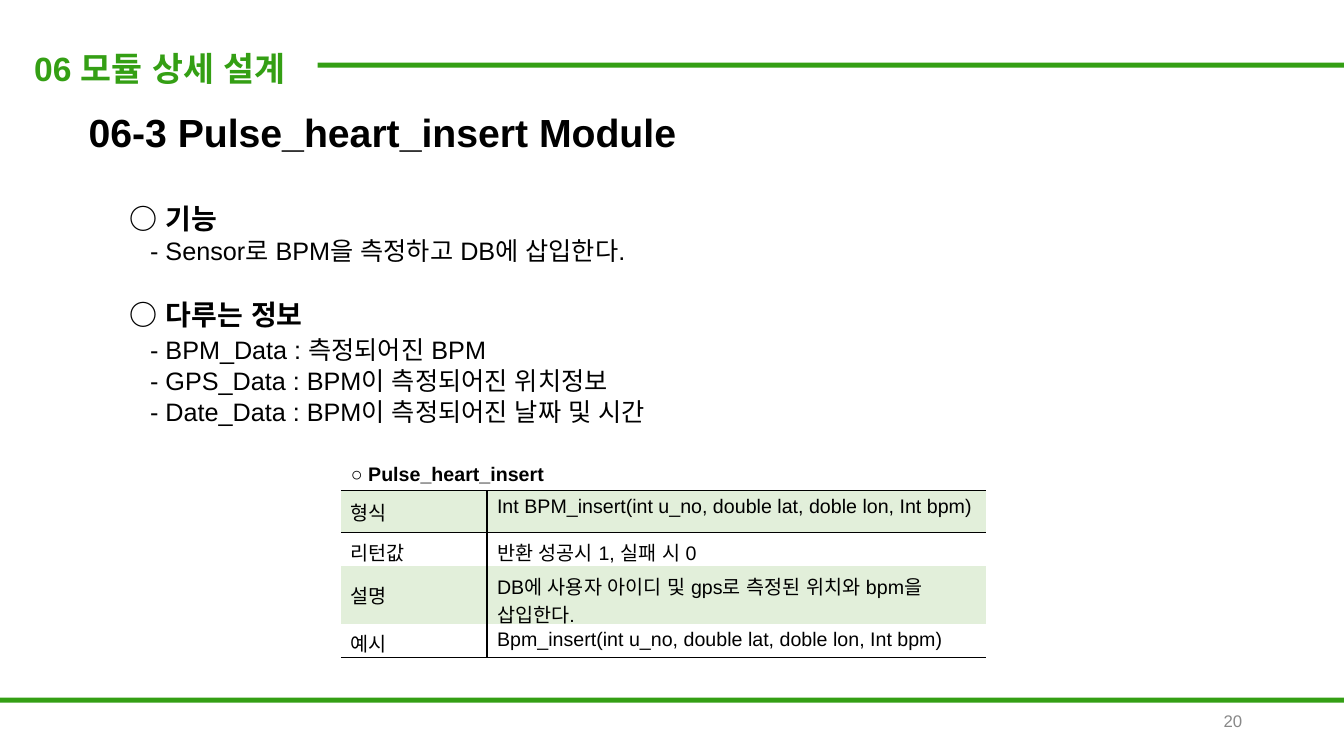
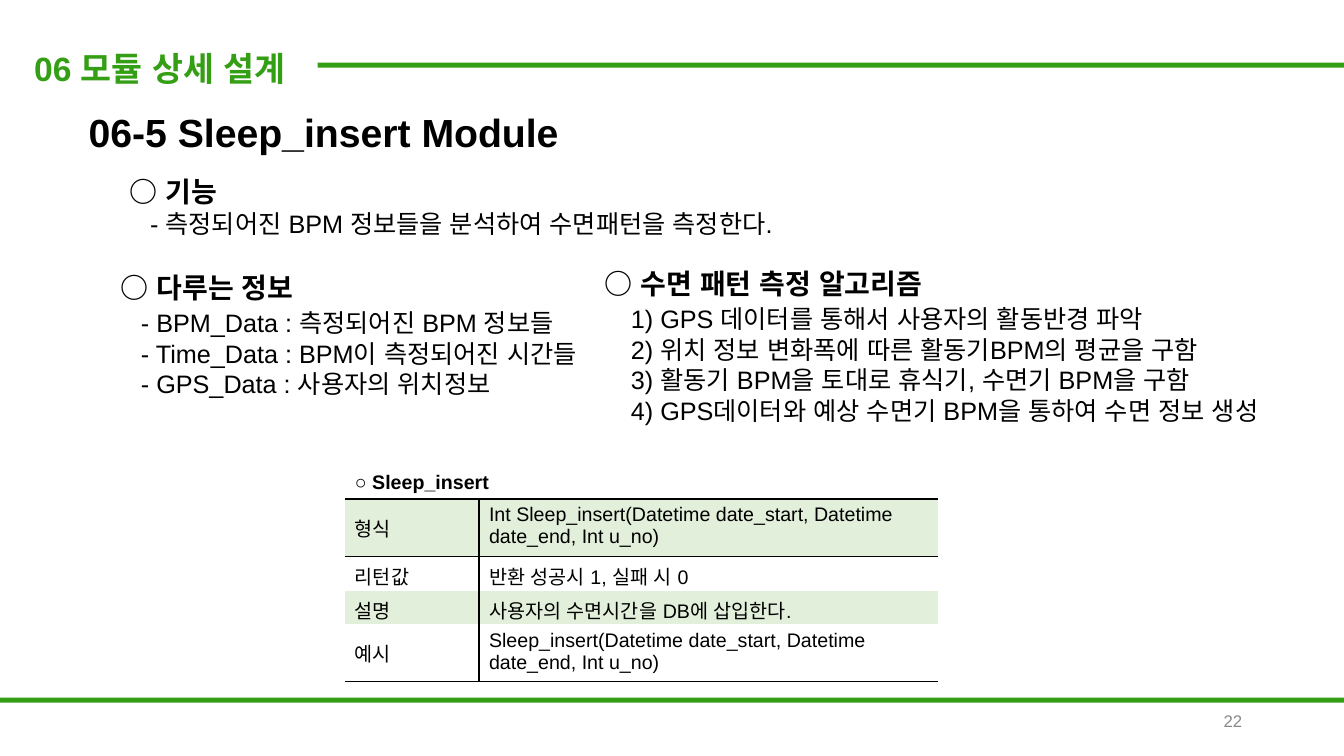
"""Build two module design slides with function tables."""
from lxml import etree
from pptx import Presentation, util as u
from pptx.dml.color import RGBColor
from pptx.enum import lang, shapes, text
from pptx.oxml import ns

COLORS = {"green": "349F14", "black": "000000", "gray": "888888", "band": "E2EFDA"}
STYLES = {
    "section": {"size": u.Pt(24), "bold": True, "color": "green"},
    "title": {"size": u.Pt(28), "bold": True, "color": "black"},
    "heading": {"size": u.Pt(20), "bold": True, "color": "black"},
    "item": {"size": u.Pt(18), "bold": False, "color": "black"},
    "caption": {"size": u.Pt(14), "bold": True, "color": "black"},
    "cell": {"size": u.Pt(14), "bold": False, "color": "black"},
    "page": {"size": u.Pt(12), "bold": False, "color": "gray"},
}
LINE_SPACING = 1.2
NO_TABLE_STYLE = "{2D5ABB26-0587-4C30-8999-92F81FD0307C}"
ROW_LABELS = ["형식", "리턴값", "설명", "예시"]
RULES = [(3.15, 0.62, 10.18), (0, 6.92, 13.33)]

SLIDES = [
    {
        "page": "20",
        "title": "06-3 Pulse_heart_insert Module",
        "sections": [
            {"box": (1.19, 1.95, 10.51, 0.74), "heading": "○ 기능", "indent": 0.2, "gap": 0,
             "items": ["- Sensor로 BPM을 측정하고 DB에 삽입한다."]},
            {"box": (1.19, 2.9, 10.51, 1.38), "heading": "○ 다루는 정보", "indent": 0.2, "gap": 2,
             "items": ["- BPM_Data : 측정되어진 BPM",
                       "- GPS_Data : BPM이 측정되어진 위치정보",
                       "- Date_Data : BPM이 측정되어진 날짜 및 시간"]},
        ],
        "table": {
            "left": 3.38, "columns": [1.45, 4.95], "rows": [0.38, 0.41, 0.34, 0.56, 0.34],
            "caption": "○ Pulse_heart_insert",
            "values": ["Int BPM_insert(int u_no, double lat, doble lon, Int bpm)",
                       "반환 성공시 1, 실패 시 0",
                       "DB에 사용자 아이디 및 gps로 측정된 위치와 bpm을 삽입한다.",
                       "Bpm_insert(int u_no, double lat, doble lon, Int bpm)"],
        },
    },
    {
        "page": "22",
        "title": "06-5 Sleep_insert Module",
        "sections": [
            {"box": (1.19, 1.68, 10.51, 0.74), "heading": "○ 기능", "indent": 0.2, "gap": 0,
             "items": ["- 측정되어진 BPM 정보들을 분석하여 수면패턴을 측정한다."]},
            {"box": (1.1, 2.63, 4.8, 1.38), "heading": "○ 다루는 정보", "indent": 0.2, "gap": 2,
             "items": ["- BPM_Data : 측정되어진 BPM 정보들",
                       "- Time_Data : BPM이 측정되어진 시간들",
                       "- GPS_Data : 사용자의 위치정보"]},
            {"box": (5.9, 2.59, 7.4, 1.68), "heading": "○ 수면 패턴 측정 알고리즘",
             "indent": 0.26, "gap": 2,
             "items": ["1) GPS 데이터를 통해서 사용자의 활동반경 파악",
                       "2) 위치 정보 변화폭에 따른 활동기BPM의 평균을 구함",
                       "3) 활동기 BPM을 토대로 휴식기, 수면기 BPM을 구함",
                       "4) GPS데이터와 예상 수면기 BPM을 통하여 수면 정보 생성"]},
        ],
        "table": {
            "left": 3.42, "columns": [1.33, 4.55], "rows": [0.46, 0.57, 0.34, 0.33, 0.57],
            "caption": "○ Sleep_insert",
            "values": ["Int Sleep_insert(Datetime date_start, Datetime date_end, Int u_no)",
                       "반환 성공시 1, 실패 시 0",
                       "사용자의 수면시간을 DB에 삽입한다.",
                       "Sleep_insert(Datetime date_start, Datetime date_end, Int u_no)"],
        },
    },
]


def write(paragraph, content, style):
    run = paragraph.add_run()
    run.text = content
    run.font.name = "Arial"
    run.font.language_id = lang.MSO_LANGUAGE_ID.KOREAN
    for name, value in STYLES[style].items():
        if name == "color":
            run.font.color.rgb = RGBColor.from_string(COLORS[value])
        else:
            setattr(run.font, name, value)


def add_text(slide, box, lines, indent=0, gap=0):
    frame = slide.shapes.add_textbox(*map(u.Inches, box)).text_frame
    frame.word_wrap = True
    for index, (content, style) in enumerate(lines):
        paragraph = frame.add_paragraph() if index else frame.paragraphs[0]
        write(paragraph, content, style)
        paragraph.line_spacing = u.Pt(round(STYLES[style]["size"].pt * LINE_SPACING))
        if index:
            paragraph._p.get_or_add_pPr().set("marL", str(u.Inches(indent)))
        if index == 1:
            paragraph.space_before = u.Pt(gap)
    return frame


presentation = Presentation()
presentation.slide_width = u.Inches(13.33)
presentation.slide_height = u.Inches(7.5)

for content in SLIDES:
    slide = presentation.slides.add_slide(presentation.slide_layouts[6])
    for left, top, width in RULES:
        rule = slide.shapes.add_shape(shapes.MSO_SHAPE.RECTANGLE, u.Inches(left),
                                      u.Inches(top), u.Inches(width), u.Inches(0.05))
        rule.shadow.inherit = False
        rule.fill.solid()
        rule.fill.fore_color.rgb = RGBColor.from_string(COLORS["green"])
        rule.line.fill.background()
    add_text(slide, (0.24, 0.42, 2.91, 0.5), [("06 모듈 상세 설계", "section")])
    page = add_text(slide, (9.42, 6.95, 3, 0.4), [(content["page"], "page")])
    page.vertical_anchor = text.MSO_ANCHOR.MIDDLE
    page.paragraphs[0].alignment = text.PP_ALIGN.RIGHT
    add_text(slide, (0.78, 1.02, 11.33, 0.57), [(content["title"], "title")])
    for section in content["sections"]:
        lines = [(section["heading"], "heading")]
        lines += [(item, "item") for item in section["items"]]
        add_text(slide, section["box"], lines, section["indent"], section["gap"])

    function_table = content["table"]
    widths, heights = function_table["columns"], function_table["rows"]
    graphic = slide.shapes.add_table(len(heights), len(widths),
                                     u.Inches(function_table["left"]), u.Inches(4.49),
                                     u.Inches(sum(widths)), u.Inches(sum(heights)))
    table = graphic.table
    table.first_row = table.horz_banding = False
    table._tbl.tblPr.find(ns.qn("a:tableStyleId")).text = NO_TABLE_STYLE
    for column, width in zip(table.columns, widths):
        column.width = u.Inches(width)
    for row, height in zip(table.rows, heights):
        row.height = u.Inches(height)
    table.cell(0, 0).merge(table.cell(0, 1))

    rows = [(function_table["caption"], "")] + list(zip(ROW_LABELS, function_table["values"]))
    ruled_below = {0, 1, len(rows) - 1}
    for row_index, values in enumerate(rows):
        for column_index, value in enumerate(values):
            cell = table.cell(row_index, column_index)
            edges = {
                "a:lnL": row_index > 0 and column_index == 1,
                "a:lnR": row_index > 0 and column_index == 0,
                "a:lnT": row_index - 1 in ruled_below,
                "a:lnB": row_index in ruled_below,
            }
            properties = cell._tc.get_or_add_tcPr()
            for tag, visible in edges.items():
                line = etree.SubElement(properties, ns.qn(tag), w=str(u.Pt(1)))
                if visible:
                    fill = etree.SubElement(line, ns.qn("a:solidFill"))
                    etree.SubElement(fill, ns.qn("a:srgbClr"), val=COLORS["black"])
                else:
                    etree.SubElement(line, ns.qn("a:noFill"))
            if row_index % 2:
                cell.fill.solid()
                cell.fill.fore_color.rgb = RGBColor.from_string(COLORS["band"])
            else:
                cell.fill.background()
            if value:
                write(cell.text_frame.paragraphs[0], value, "cell" if row_index else "caption")
            if row_index == 0:
                cell.vertical_anchor = text.MSO_ANCHOR.BOTTOM
            elif column_index == 0:
                cell.vertical_anchor = text.MSO_ANCHOR.MIDDLE

presentation.save("out.pptx")
